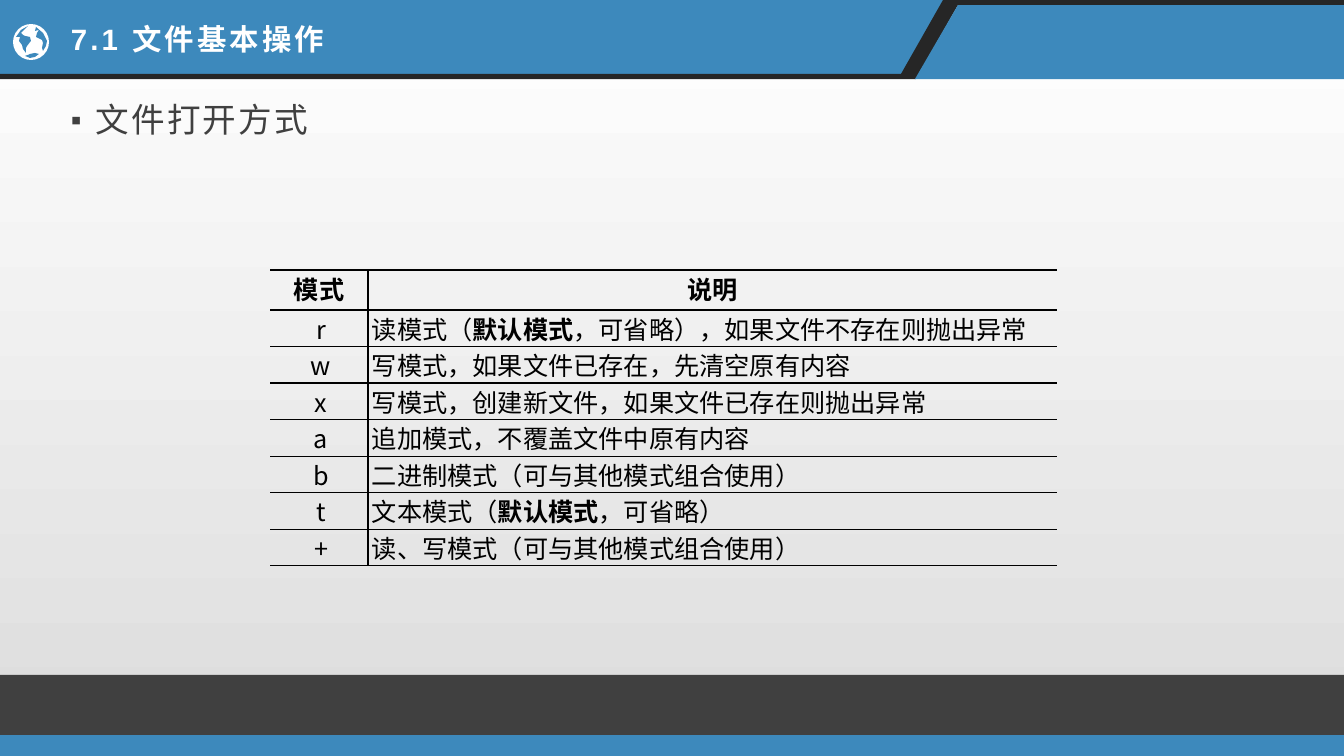
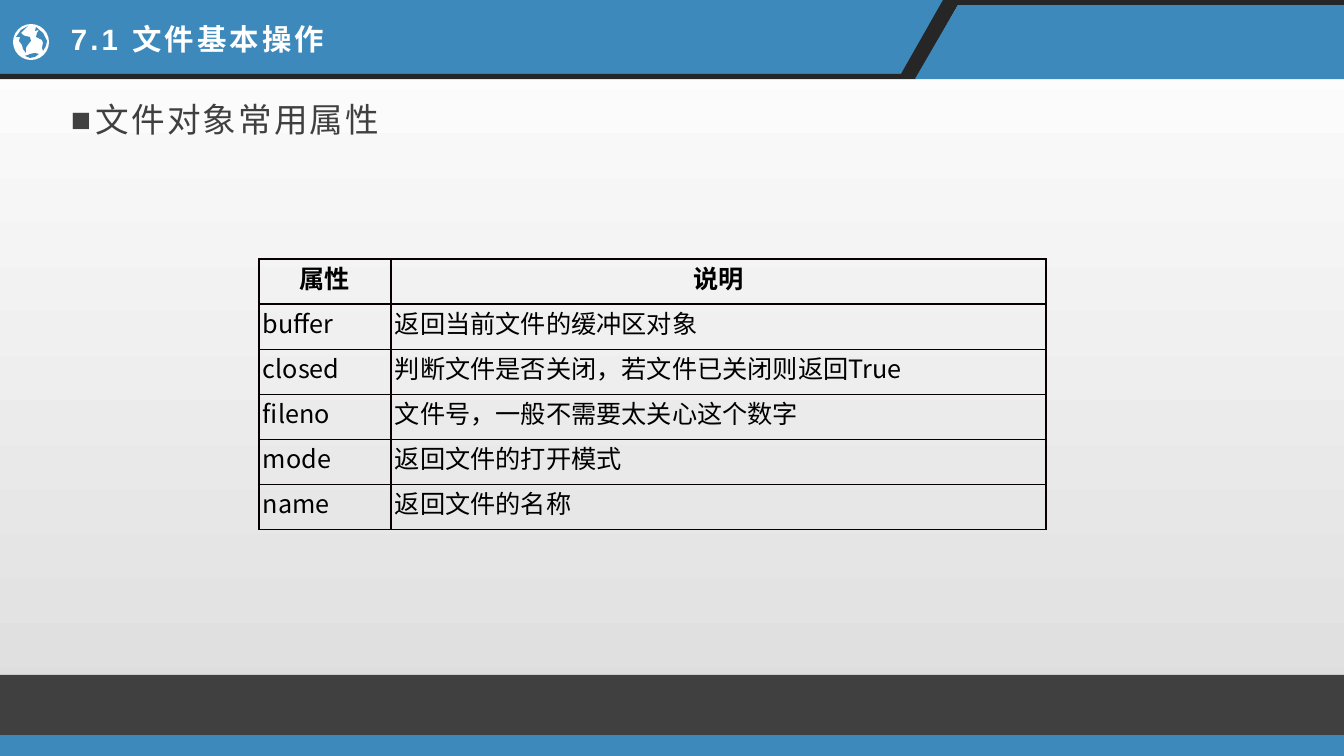
from lxml import etree
from pptx import Presentation
from pptx.dml.color import RGBColor
from pptx.enum.shapes import MSO_SHAPE as Shape
from pptx.enum.text import MSO_ANCHOR as Anchor, PP_ALIGN as Align
from pptx.oxml.ns import qn
from pptx.util import Emu, Pt

PX = 914400 / 100.8
WIDTH, HEIGHT = 1344, 756
COLORS = {
    "blue": "3D89BC", "dark": "262626", "footer": "404040", "white": "FFFFFF",
    "body": "404040", "black": "000000", "grid": "080000", "bottom": "DCDCDC",
}
CJK_FONT = "Noto Sans CJK SC"


def px(*lengths):
    return [Emu(round(length * PX)) for length in lengths]


def format_run(run, size, color, latin, bold=False, spacing=0):
    """Set the font, with spacing between letters in points."""
    font = run.font
    font.size, font.bold, font.name = Pt(size), bold, latin
    font.color.rgb = RGBColor.from_string(COLORS[color])
    properties = run._r.get_or_add_rPr()
    etree.SubElement(properties, qn("a:ea")).set("typeface", CJK_FONT)
    if spacing:
        properties.set("spc", str(round(spacing * 100)))


TITLE = "7.1 文件基本操作"
HEADER_OUTLINES = [
    ("blue", [[(0, 0), (948, 0), (906, 74), (0, 74)]]),
    ("dark", [[(943, 0), (WIDTH, 0), (WIDTH, 5), (958, 5), (916, 79),
               (0, 79), (0, 74), (901, 74)]]),
    ("blue", [[(958, 5), (WIDTH, 5), (WIDTH, 79), (915, 79)]]),
]
GLOBE_LAND = ("blue", [
    [(47, 41), (46, 46), (43, 51), (42, 48), (43, 43), (42, 40), (40, 39),
     (36, 37), (37, 33), (39, 30), (35, 31), (36, 27), (43, 33)],
    [(28, 26), (26, 28), (24, 30), (21, 33), (23, 35), (25, 36), (30, 37),
     (31, 41), (27, 46), (26, 48), (26, 53), (23, 49), (22, 45), (19, 41),
     (20, 37), (16, 37), (21, 30)],
    [(25, 56), (28, 55), (30, 54), (35, 53), (39, 54), (35, 57), (30, 58)],
])
PLAIN_SHAPES = [
    ("blue", Shape.RECTANGLE, (0, 735, WIDTH, 21)),
    ("footer", Shape.RECTANGLE, (0, 675, WIDTH, 60)),
    ("white", Shape.OVAL, (13, 24, 36, 36)),
]

# Asterisks enclose bold words in a cell.
SLIDES = [
    {
        "topic": "文件打开方式", "bullet": "▪", "bullet_size": 90,
        "table": (270, 270, 296), "header": 40, "columns": (98, 689),
        "line": "black", "closed_sides": False, "key_align": Align.CENTER,
        "rows": [
            ("模式", "说明"),
            ("r", "读模式（*默认模式*，可省略），如果文件不存在则抛出异常"),
            ("w", "写模式，如果文件已存在，先清空原有内容"),
            ("x", "写模式，创建新文件，如果文件已存在则抛出异常"),
            ("a", "追加模式，不覆盖文件中原有内容"),
            ("b", "二进制模式（可与其他模式组合使用）"),
            ("t", "文本模式（*默认模式*，可省略）"),
            ("+", "读、写模式（可与其他模式组合使用）"),
        ],
    },
    {
        "topic": "文件对象常用属性", "bullet": "■", "bullet_size": 100,
        "table": (259, 259, 271), "header": 45, "columns": (132, 655),
        "line": "grid", "closed_sides": True, "key_align": Align.LEFT,
        "rows": [
            ("属性", "说明"),
            ("buffer", "返回当前文件的缓冲区对象"),
            ("closed", "判断文件是否关闭，若文件已关闭则返回True"),
            ("fileno", "文件号，一般不需要太关心这个数字"),
            ("mode", "返回文件的打开模式"),
            ("name", "返回文件的名称"),
        ],
    },
]

presentation = Presentation()
presentation.slide_width, presentation.slide_height = px(WIDTH, HEIGHT)
background = presentation.slide_master.background.fill
background.gradient()
background.gradient_angle = 270
for stop, color in zip(background.gradient_stops, ("white", "bottom")):
    stop.color.rgb = RGBColor.from_string(COLORS[color])

for content in SLIDES:
    slide = presentation.slides.add_slide(presentation.slide_layouts[6])
    shapes = slide.shapes

    # Header, footer and globe
    decorations = [(color, shapes.add_shape(kind, *px(*place)))
                   for color, kind, place in PLAIN_SHAPES]
    for color, contours in HEADER_OUTLINES + [GLOBE_LAND]:
        builder = shapes.build_freeform(*px(*contours[0][0]))
        for contour in contours:
            if contour is not contours[0]:
                builder.move_to(*px(*contour[0]))
            builder.add_line_segments([px(*point) for point in contour[1:]])
        decorations.append((color, builder.convert_to_shape()))
    for color, shape in decorations:
        shape.shadow.inherit = False
        shape.fill.solid()
        shape.fill.fore_color.rgb = RGBColor.from_string(COLORS[color])
        shape.line.fill.background()
    # The oval lies below the header bands until it is raised under its land.
    land, globe = decorations[-1][1], decorations[len(PLAIN_SHAPES) - 1][1]
    land._element.addprevious(globe._element)

    # Title and topic
    title = shapes.add_textbox(*px(61, 16, 595, 45)).text_frame
    title.word_wrap = True
    title.vertical_anchor = Anchor.MIDDLE
    title.text = TITLE
    format_run(title.paragraphs[0].runs[0], 21, "white", "Arial", True, 2.2)

    body = shapes.add_textbox(*px(61, 99, 1230, 557)).text_frame
    body.word_wrap = True
    body.text = content["topic"]
    paragraph = body.paragraphs[0]
    paragraph.line_spacing = 0.9
    format_run(paragraph.runs[0], 24, "body", "Arial", spacing=1.5)
    properties = paragraph._p.get_or_add_pPr()
    indent, = px(25)
    properties.set("marL", str(indent))
    properties.set("indent", str(-indent))
    for tag, name, value in (
        ("a:buSzPct", "val", str(content["bullet_size"] * 1000)),
        ("a:buFont", "typeface", "Arial"),
        ("a:buChar", "char", content["bullet"]),
    ):
        etree.SubElement(properties, qn(tag)).set(name, value)

    # Table
    rows, columns = content["rows"], content["columns"]
    left, top, height = content["table"]
    table = shapes.add_table(len(rows), len(columns),
                             *px(left, top, sum(columns), height)).table
    table.first_row = table.horz_banding = False
    for column, width in zip(table.columns, px(*columns)):
        column.width = width
    row_height = (height - content["header"]) / (len(rows) - 1)
    for row_index, values in enumerate(rows):
        is_header = row_index == 0
        table.rows[row_index].height, = px(content["header"] if is_header else row_height)
        for column_index, value in enumerate(values):
            cell = table.cell(row_index, column_index)
            cell.margin_left, = px(0 if is_header else 4)
            cell.margin_right = cell.margin_top = cell.margin_bottom = 0
            paragraph = cell.text_frame.paragraphs[0]
            if is_header:
                paragraph.alignment = Align.CENTER
            elif column_index == 0:
                paragraph.alignment = content["key_align"]
            for part_index, part in enumerate(value.split("*")):
                run = paragraph.add_run()
                run.text = part
                format_run(run, 18, "black", CJK_FONT, is_header or part_index % 2 == 1)

            outer_side = "a:lnL" if column_index == 0 else "a:lnR"
            for side in ("a:lnL", "a:lnR", "a:lnT", "a:lnB"):
                line = etree.SubElement(cell._tc.get_or_add_tcPr(), qn(side))
                if side == outer_side and not content["closed_sides"]:
                    etree.SubElement(line, qn("a:noFill"))
                    continue
                line.set("w", str(Pt(1)))
                line_fill = etree.SubElement(line, qn("a:solidFill"))
                etree.SubElement(line_fill, qn("a:srgbClr")).set("val", COLORS[content["line"]])
            cell.fill.background()

presentation.save("out.pptx")
